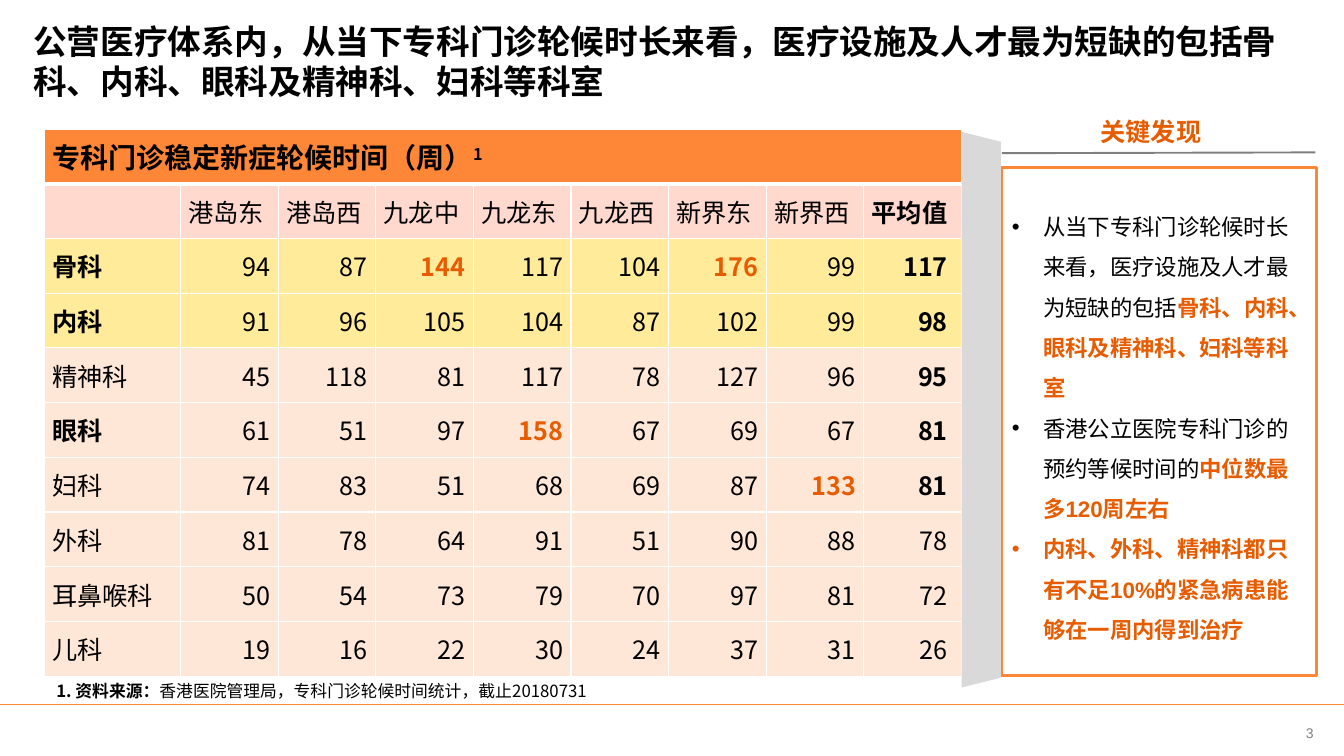
from dataclasses import dataclass
from typing import Optional

from lxml.etree import SubElement
from pptx import Presentation
from pptx.dml.color import RGBColor
from pptx.enum.shapes import MSO_CONNECTOR, MSO_SHAPE
from pptx.enum.text import MSO_ANCHOR, PP_ALIGN
from pptx.oxml.ns import qn
from pptx.util import Cm, Pt

LATIN, CHINESE = "Arial", "Noto Sans CJK SC"
BLACK, WHITE, GREY = "000000", "FFFFFF", "808080"
ORANGE, ACCENT, SHADE = "FE8637", "E75C01", "D9D9D9"
HEADER_FILL, TOP_FILL, ROW_FILL = "FFD9CE", "FFEB99", "FFE7D7"
LONG_WAIT = 130  # weeks; longer waits are picked out


@dataclass
class Span:
    text: str
    size: float
    color: str = BLACK
    bold: bool = False
    font: str = LATIN
    raised: bool = False


@dataclass
class Area:
    left: float
    top: float
    width: float
    height: float


@dataclass
class Specialty:
    name: str
    weeks: list[int]
    mean: int
    bold_name: bool = False
    bold_mean: bool = False
    fill: str = ROW_FILL


DISTRICTS = ["港岛东", "港岛西", "九龙中", "九龙东", "九龙西", "新界东", "新界西"]
SPECIALTIES = [
    Specialty("骨科", [94, 87, 144, 117, 104, 176, 99], 117, True, True, TOP_FILL),
    Specialty("内科", [91, 96, 105, 104, 87, 102, 99], 98, True, True, TOP_FILL),
    Specialty("精神科", [45, 118, 81, 117, 78, 127, 96], 95, False, True),
    Specialty("眼科", [61, 51, 97, 158, 67, 69, 67], 81, True, True),
    Specialty("妇科", [74, 83, 51, 68, 69, 87, 133], 81, False, True),
    Specialty("外科", [81, 78, 64, 91, 51, 90, 88], 78),
    Specialty("耳鼻喉科", [50, 54, 73, 79, 70, 97, 81], 72),
    Specialty("儿科", [19, 16, 22, 30, 24, 37, 31], 26),
]
FINDINGS = [
    [Span("从当下专科门诊轮候时长来看，医疗设施及人才最为短缺的包括", 16),
     Span("骨科、内科、眼科及精神科、妇科等科室", 16, ACCENT, True)],
    [Span("香港公立医院专科门诊的预约等候时间的", 16),
     Span("中位数最多120周左右", 16, ACCENT, True)],
    [Span("内科、外科、精神科都只有不足10%的紧急病患能够在一周内得到治疗", 16, ACCENT, True)],
]


def rgb(color: str) -> RGBColor:
    return RGBColor.from_string(color)


def write(para, spans: list[Span], align=PP_ALIGN.LEFT) -> None:
    para.alignment = align
    for item in spans:
        span = para.add_run()
        span.text = item.text
        font = span.font
        font.name, font.size, font.bold = item.font, Pt(item.size), item.bold
        font.color.rgb = rgb(item.color)
        if item.font == CHINESE:
            SubElement(span._r.get_or_add_rPr(), qn("a:ea"), typeface=CHINESE)
        if item.raised:
            span._r.get_or_add_rPr().set("baseline", "30000")


def place(area: Area) -> tuple:
    return Cm(area.left), Cm(area.top), Cm(area.width), Cm(area.height)


def add_text(page, area: Area, spans: list[Span], align=PP_ALIGN.LEFT,
             anchor=MSO_ANCHOR.MIDDLE, inset: bool = False) -> None:
    frame = page.shapes.add_textbox(*place(area)).text_frame
    frame.word_wrap, frame.vertical_anchor = True, anchor
    if not inset:
        frame.margin_left = frame.margin_right = 0
        frame.margin_top = frame.margin_bottom = 0
    write(frame.paragraphs[0], spans, align)


def add_block(page, kind, area: Area, fill: str, line: Optional[str] = None):
    box = page.shapes.add_shape(kind, *place(area))
    box.shadow.inherit = False
    box.fill.solid()
    box.fill.fore_color.rgb = rgb(fill)
    if line:
        box.line.color.rgb, box.line.width = rgb(line), Pt(2.25)
    else:
        box.line.fill.background()
    box.text_frame.word_wrap = True
    box.text_frame.vertical_anchor = MSO_ANCHOR.MIDDLE
    return box


def add_rule(page, start: tuple, end: tuple, color: str, width: float,
             alpha: Optional[int] = None) -> None:
    rule = page.shapes.add_connector(MSO_CONNECTOR.STRAIGHT, *map(Cm, start + end))
    rule.line.color.rgb, rule.line.width = rgb(color), Pt(width)
    if alpha:
        tint = next(rule._element.spPr.iter(qn("a:srgbClr")))
        SubElement(tint, qn("a:alpha"), val=str(alpha * 1000))
    SubElement(rule._element.spPr, qn("a:effectLst"))


def style_cell(cell, fill: str, top: float = 1, bottom: float = 1) -> None:
    cell.margin_left = cell.margin_right = Cm(0.2)
    cell.margin_top = cell.margin_bottom = 0
    cell.vertical_anchor = MSO_ANCHOR.MIDDLE
    properties = cell._tc.get_or_add_tcPr()
    for side, width in {"L": 1, "R": 1, "T": top, "B": bottom}.items():
        border = SubElement(properties, qn(f"a:ln{side}"), w=str(Pt(width)))
        paint = SubElement(border, qn("a:solidFill"))
        SubElement(paint, qn("a:srgbClr"), val=WHITE)
    cell.fill.solid()
    cell.fill.fore_color.rgb = rgb(fill)


def fill_cell(cell, text: str, bold: bool = False, color: str = BLACK,
              align=PP_ALIGN.LEFT) -> None:
    if text:
        write(cell.text_frame.paragraphs[0], [Span(text, 18, color, bold, CHINESE)], align)


def add_waiting_table(page) -> None:
    rows, columns = len(SPECIALTIES) + 2, len(DISTRICTS) + 2
    area = Area(1.12, 3.25, 23.14, 13.79)
    table = page.shapes.add_table(rows, columns, *place(area)).table
    table.horz_banding = False
    for index, column in enumerate(table.columns):
        column.width = Cm(2.46 if index else 3.43)
    fills = [ORANGE, HEADER_FILL] + [item.fill for item in SPECIALTIES]
    for index, fill in enumerate(fills):
        for cell in table.rows[index].cells:
            style_cell(cell, fill, 3 if index == 1 else 1, 1 if index else 3)

    # Banner and district names
    table.cell(0, 0).merge(table.cell(0, columns - 1))
    write(table.cell(0, 0).text_frame.paragraphs[0], [
        Span("专科门诊稳定新症轮候时间（周）", 20, BLACK, True, CHINESE),
        Span("1", 20, BLACK, True, CHINESE, raised=True)])
    for index, name in enumerate(["", *DISTRICTS, "平均值"]):
        fill_cell(table.cell(1, index), name, index == columns - 1)

    # Weeks by specialty
    for row, item in enumerate(SPECIALTIES, 2):
        fill_cell(table.cell(row, 0), item.name, item.bold_name)
        for index, weeks in enumerate(item.weeks, 1):
            long = weeks > LONG_WAIT
            fill_cell(table.cell(row, index), str(weeks), long,
                      ACCENT if long else BLACK, PP_ALIGN.RIGHT)
        fill_cell(table.cell(row, columns - 1), f"{item.mean} ", item.bold_mean,
                  align=PP_ALIGN.RIGHT)


def add_findings(page) -> None:
    heading = add_block(page, MSO_SHAPE.RECTANGLE, Area(26.82, 2.79, 4.37, 1.07), WHITE)
    write(heading.text_frame.paragraphs[0], [Span("关键发现", 18, ACCENT, True)],
          PP_ALIGN.CENTER)
    panel = add_block(page, MSO_SHAPE.RECTANGLE, Area(25.25, 4.22, 7.92, 12.8), WHITE, ORANGE)
    frame = panel.text_frame
    for index, spans in enumerate(FINDINGS):
        para = frame.add_paragraph() if index else frame.paragraphs[0]
        para.line_spacing = 1.5
        properties = para._p.get_or_add_pPr()
        properties.set("marL", str(Cm(0.79)))
        properties.set("indent", str(-Cm(0.79)))
        SubElement(properties, qn("a:buFont"), typeface=LATIN)
        SubElement(properties, qn("a:buChar"), char="•")
        write(para, spans)
    add_rule(page, (25.25, 3.86), (33.15, 3.84), BLACK, 1.35, alpha=50)


def main() -> None:
    deck = Presentation()
    deck.slide_width, deck.slide_height = Cm(33.87), Cm(19.05)
    page = deck.slides.add_slide(deck.slide_layouts[6])

    # Page number, footer rule and title
    add_text(page, Area(32.16, 17.88, 1.7, 1.17), [Span("3", 10, GREY)], PP_ALIGN.CENTER)
    add_rule(page, (0, 17.75), (33.87, 17.75), ORANGE, 1)
    add_text(page, Area(0.84, 0.66, 31.9, 1.75), [Span(
        "公营医疗体系内，从当下专科门诊轮候时长来看，医疗设施及人才最为短缺的包括骨科、内科、眼科及精神科、妇科等科室",
        24, BLACK, True)])

    # Waiting times and their origin
    add_waiting_table(page)
    add_text(page, Area(1.17, 17.02, 30.99, 0.76), [
        Span("1. 资料来源：", 12, BLACK, True, CHINESE),
        Span("香港医院管理局，专科门诊轮候时间统计，截止20180731", 12, font=CHINESE)],
        anchor=MSO_ANCHOR.TOP, inset=True)

    # Findings, joined to the table by a turned trapezoid
    add_findings(page)
    add_block(page, MSO_SHAPE.TRAPEZOID, Area(17.73, 9.83, 14, 0.99), SHADE).rotation = 90
    deck.save("out.pptx")


if __name__ == "__main__":
    main()
